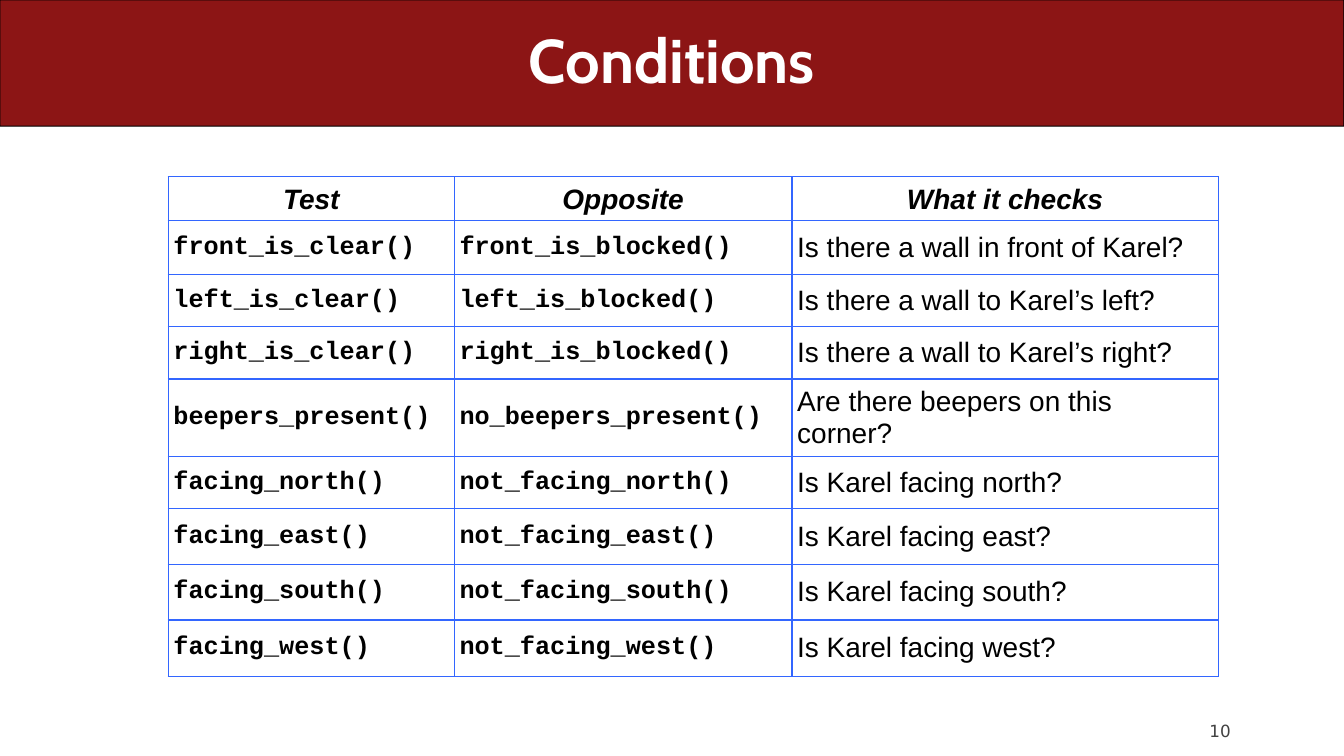
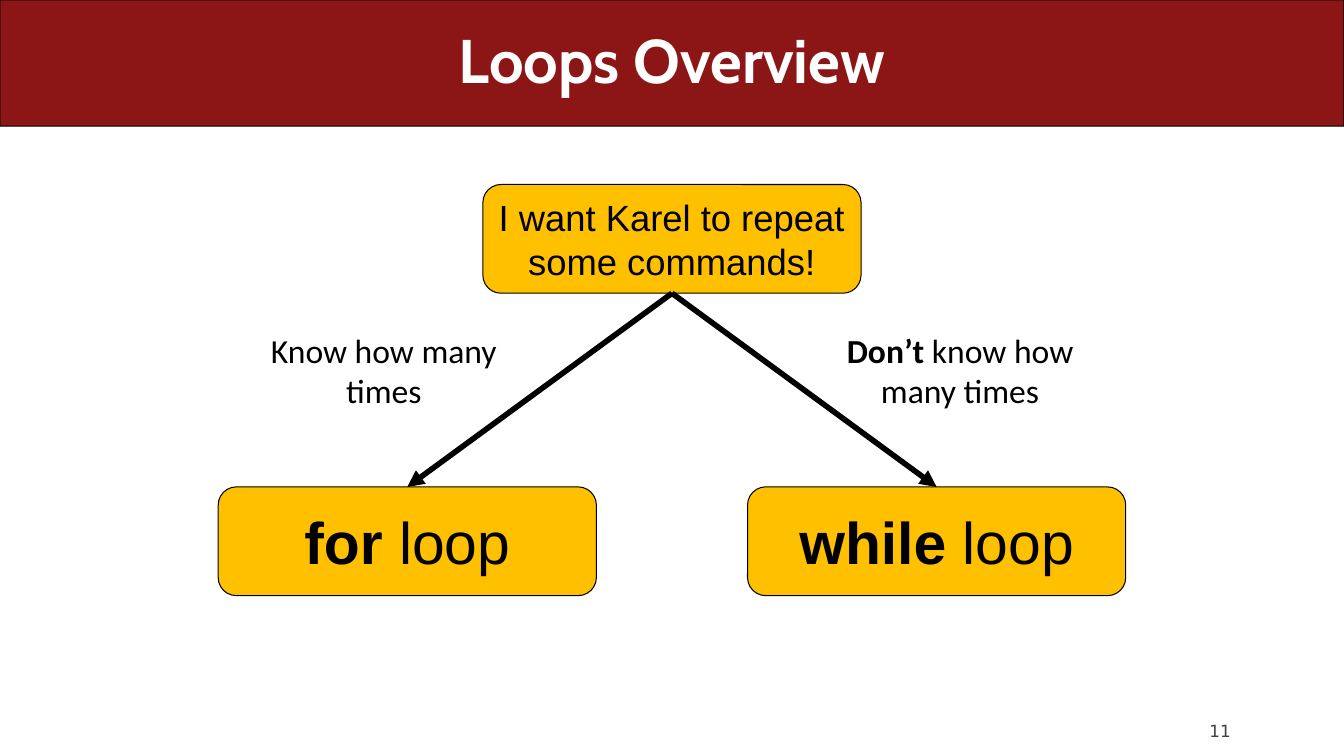
from dataclasses import dataclass

from lxml.etree import SubElement
from pptx import Presentation
from pptx.dml.color import RGBColor
from pptx.enum.shapes import MSO_CONNECTOR, MSO_SHAPE
from pptx.enum.text import MSO_ANCHOR, MSO_AUTO_SIZE, PP_ALIGN
from pptx.oxml import parse_xml
from pptx.oxml.ns import nsdecls, qn
from pptx.presentation import Presentation as Deck
from pptx.shapes.autoshape import Shape
from pptx.slide import Slide
from pptx.table import _Cell as Cell
from pptx.text.text import TextFrame
from pptx.util import Cm, Pt

CARDINAL = RGBColor(0x8C, 0x15, 0x15)
AMBER = RGBColor(0xFF, 0xC0, 0x00)
GRID_BLUE = RGBColor(0x33, 0x66, 0xFF)
BLACK = RGBColor(0x00, 0x00, 0x00)
WHITE = RGBColor(0xFF, 0xFF, 0xFF)
GREY = RGBColor(0x42, 0x42, 0x42)

# Lengths in centimetres
SLIDE_WIDTH, SLIDE_HEIGHT = 33.87, 19.05
CENTER = SLIDE_WIDTH / 2
BAND_HEIGHT = 3.18
TITLE_MARGIN = 1.27
BOX_WIDTH, BOX_HEIGHT = 9.53, 2.74
LABEL_WIDTH, LABEL_HEIGHT = 6.65, 2.31
START_TOP, LABEL_TOP, LOOP_TOP = 4.65, 8.18, 12.27
LOOP_OFFSET, LABEL_OFFSET = 6.67, 7.26
COLUMN_WIDTHS = (7.21, 8.51, 10.74)
ROW_HEIGHTS = (1.04, 1.35, 1.32, 1.32, 1.4, 1.32, 1.4, 1.4, 1.42)


@dataclass(frozen=True)
class Span:
    text: str
    bold: bool = False


@dataclass(frozen=True)
class TextStyle:
    font: str
    size: int
    color: RGBColor = BLACK
    bold: bool = False
    italic: bool = False
    align: PP_ALIGN = PP_ALIGN.LEFT


@dataclass(frozen=True)
class Condition:
    test: str
    opposite: str
    question: str


@dataclass(frozen=True)
class Branch:
    side: int  # -1 is left of the centre, 1 is right
    label: tuple[Span, ...]
    loop: tuple[Span, ...]


TITLE = TextStyle("Cabin", 44, WHITE, bold=True, align=PP_ALIGN.CENTER)
PAGE_NUMBER = TextStyle("DejaVu Sans", 12, GREY)
HEADING = TextStyle("Arial", 20, bold=True, italic=True, align=PP_ALIGN.CENTER)
CODE = TextStyle("Courier New", 18, bold=True)
QUESTION = TextStyle("Arial", 20)
START = TextStyle("Arial", 26, align=PP_ALIGN.CENTER)
LOOP = TextStyle("Arial", 42, align=PP_ALIGN.CENTER)
LABEL = TextStyle("Calibri", 24, align=PP_ALIGN.CENTER)

HEADINGS = ("Test", "Opposite", "What it checks")
CONDITIONS = (
    Condition("front_is_clear()", "front_is_blocked()", "Is there a wall in front of Karel?"),
    Condition("left_is_clear()", "left_is_blocked()", "Is there a wall to Karel’s left?"),
    Condition("right_is_clear()", "right_is_blocked()", "Is there a wall to Karel’s right?"),
    Condition("beepers_present()", "no_beepers_present()", "Are there beepers on this corner?"),
    *(
        Condition(f"facing_{way}()", f"not_facing_{way}()", f"Is Karel facing {way}?")
        for way in ("north", "east", "south", "west")
    ),
)
BRANCHES = (
    Branch(-1, (Span("Know how many times"),), (Span("for", True), Span(" loop"))),
    Branch(1, (Span("Don’t ", True), Span("know how many times")),
           (Span("while ", True), Span("loop"))),
)


def write(frame: TextFrame, spans: tuple[Span, ...], style: TextStyle) -> None:
    frame.word_wrap = True
    paragraph = frame.paragraphs[0]
    paragraph.alignment = style.align
    font = paragraph.font
    font.name, font.size = style.font, Pt(style.size)
    font.bold, font.italic = style.bold, style.italic
    font.color.rgb = style.color
    for span in spans:
        run = paragraph.add_run()
        run.text = span.text
        if span.bold:
            run.font.bold = True


def add_round_box(slide: Slide, left: float, top: float, width: float,
                  height: float, fill: RGBColor) -> Shape:
    box = slide.shapes.add_shape(
        MSO_SHAPE.ROUNDED_RECTANGLE, Cm(left), Cm(top), Cm(width), Cm(height))
    box.shadow.inherit = False
    box.fill.solid()
    box.fill.fore_color.rgb = fill
    box.line.color.rgb = BLACK
    box.line.width = Pt(0.75)
    return box


def add_titled_slide(deck: Deck, heading: str, number: int) -> Slide:
    """Add a slide with the red band, its title and the page number."""
    slide = deck.slides.add_slide(deck.slide_layouts[5])
    title = slide.shapes.title
    title.left, title.top = Cm(TITLE_MARGIN), Cm(0)
    title.width, title.height = Cm(SLIDE_WIDTH - 2 * TITLE_MARGIN), Cm(BAND_HEIGHT)
    title.text_frame.auto_size = MSO_AUTO_SIZE.NONE
    title.text_frame.vertical_anchor = MSO_ANCHOR.MIDDLE
    write(title.text_frame, (Span(heading),), TITLE)
    title.text_frame.paragraphs[0].line_spacing = 0.9

    band = add_round_box(slide, 0, 0, SLIDE_WIDTH, BAND_HEIGHT, CARDINAL)
    band.adjustments[0] = 0.001
    title.element.addprevious(band.element)

    page = slide.shapes.add_textbox(Cm(30.48), Cm(17.65), Cm(2.82), Cm(1.02)).text_frame
    page.margin_left = page.margin_right = page.margin_top = page.margin_bottom = 0
    page.vertical_anchor = MSO_ANCHOR.BOTTOM
    write(page, (Span(str(number)),), PAGE_NUMBER)
    page.paragraphs[0].space_before = Pt(5)
    return slide


def set_borders(cell: Cell) -> None:
    properties = cell._tc.get_or_add_tcPr()
    for position, edge in enumerate(("lnL", "lnR", "lnT", "lnB")):
        properties.insert(position, parse_xml(
            f'<a:{edge} {nsdecls("a")} w="{Pt(1)}"><a:solidFill>'
            f'<a:srgbClr val="{GRID_BLUE}"/></a:solidFill></a:{edge}>'))


def fill_cell(cell: Cell, text: str, style: TextStyle, anchor: MSO_ANCHOR) -> None:
    cell.fill.background()
    set_borders(cell)
    cell.margin_left = cell.margin_right = cell.margin_top = cell.margin_bottom = Cm(0.13)
    cell.vertical_anchor = anchor
    write(cell.text_frame, (Span(text),), style)


def add_condition_table(slide: Slide) -> None:
    table = slide.shapes.add_table(
        len(ROW_HEIGHTS), len(COLUMN_WIDTHS), Cm(4.24), Cm(4.45),
        Cm(sum(COLUMN_WIDTHS)), Cm(sum(ROW_HEIGHTS))).table
    table.first_row = table.horz_banding = False
    for column, width in zip(table.columns, COLUMN_WIDTHS):
        column.width = Cm(width)
    for row, height in zip(table.rows, ROW_HEIGHTS):
        row.height = Cm(height)
    for column, heading in enumerate(HEADINGS):
        fill_cell(table.cell(0, column), heading, HEADING, MSO_ANCHOR.BOTTOM)
    for row, condition in enumerate(CONDITIONS, start=1):
        entries = ((condition.test, CODE), (condition.opposite, CODE),
                   (condition.question, QUESTION))
        for column, (text, style) in enumerate(entries):
            fill_cell(table.cell(row, column), text, style, MSO_ANCHOR.MIDDLE)


def add_step(slide: Slide, center: float, top: float,
             spans: tuple[Span, ...], style: TextStyle) -> Shape:
    step = add_round_box(slide, center - BOX_WIDTH / 2, top, BOX_WIDTH, BOX_HEIGHT, AMBER)
    step.text_frame.vertical_anchor = MSO_ANCHOR.MIDDLE
    write(step.text_frame, spans, style)
    return step


def add_arrow(slide: Slide, source: Shape, target: Shape) -> None:
    """Join the bottom of source to the top of target."""
    arrow = slide.shapes.add_connector(MSO_CONNECTOR.STRAIGHT, 0, 0, 0, 0)
    arrow.begin_connect(source, 2)
    arrow.end_connect(target, 0)
    arrow.line.color.rgb = BLACK
    arrow.line.width = Pt(4)
    SubElement(arrow.line._get_or_add_ln(), qn("a:tailEnd"), type="triangle")
    SubElement(arrow.element.spPr, qn("a:effectLst"))


def add_branch_label(slide: Slide, branch: Branch) -> None:
    left = CENTER + branch.side * LABEL_OFFSET - LABEL_WIDTH / 2
    label = slide.shapes.add_textbox(
        Cm(left), Cm(LABEL_TOP), Cm(LABEL_WIDTH), Cm(LABEL_HEIGHT)).text_frame
    label.auto_size = MSO_AUTO_SIZE.SHAPE_TO_FIT_TEXT
    write(label, branch.label, LABEL)


def add_loop_tree(slide: Slide) -> None:
    start = add_step(slide, CENTER, START_TOP,
                     (Span("I want Karel to repeat some commands!"),), START)
    loops = [add_step(slide, CENTER + branch.side * LOOP_OFFSET, LOOP_TOP, branch.loop, LOOP)
             for branch in BRANCHES]
    for loop in loops:
        add_arrow(slide, start, loop)
    for branch in BRANCHES:
        add_branch_label(slide, branch)


def main() -> None:
    deck = Presentation()
    deck.slide_width, deck.slide_height = Cm(SLIDE_WIDTH), Cm(SLIDE_HEIGHT)
    add_condition_table(add_titled_slide(deck, "Conditions", 10))
    add_loop_tree(add_titled_slide(deck, "Loops Overview", 11))
    deck.save("out.pptx")


if __name__ == "__main__":
    main()
